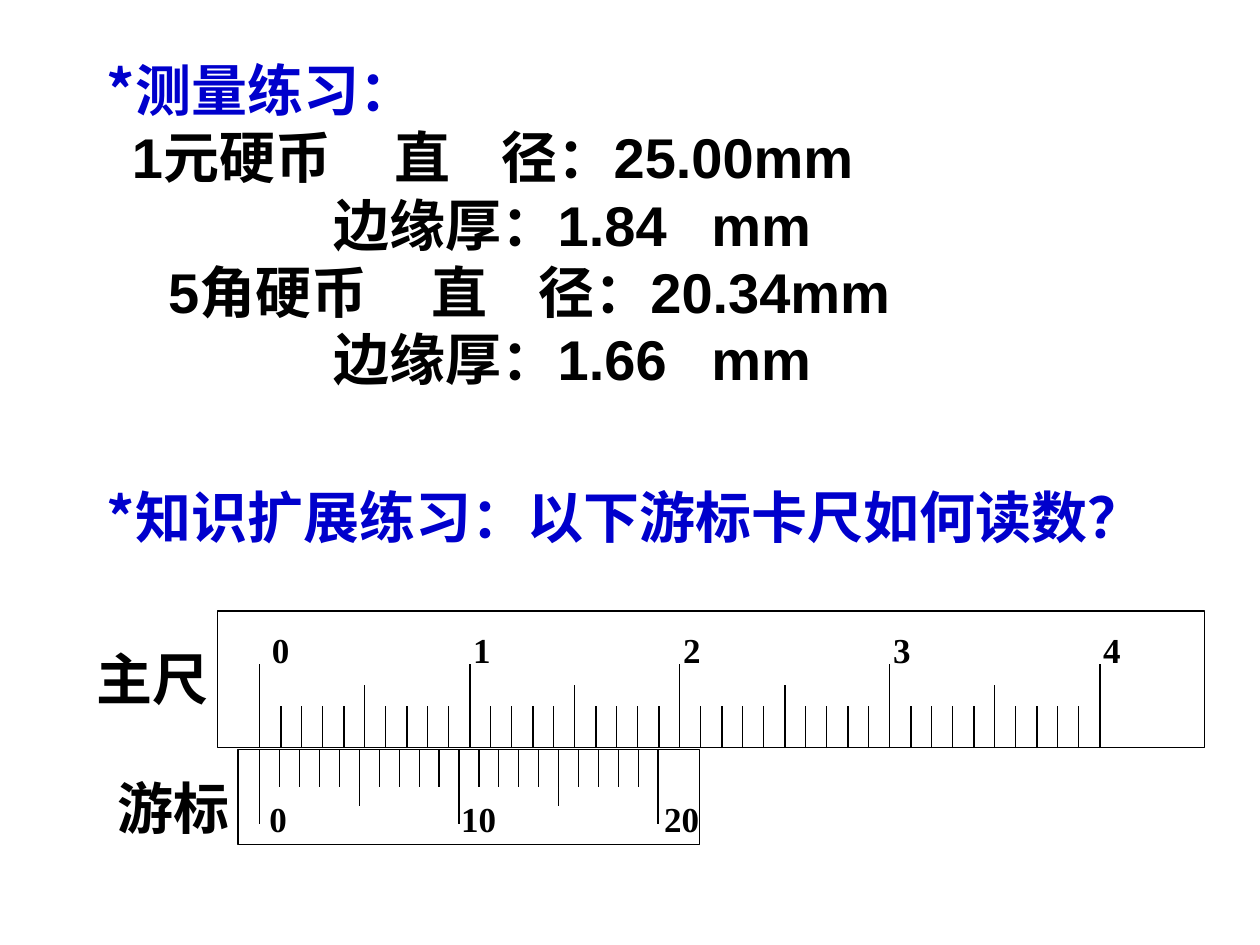
from lxml.etree import SubElement
from pptx import Presentation
from pptx.dml.color import RGBColor
from pptx.enum.shapes import MSO_CONNECTOR, MSO_SHAPE
from pptx.oxml.ns import qn
from pptx.util import Pt

COLORS = {"heading": "0000CC", "ink": "000000"}
CJK = "Noto Sans CJK SC"
FORMATS = {
    "heading": {"name": CJK, "size": Pt(32), "bold": True},
    "body": {"name": "Arial", "size": Pt(32), "bold": True},
    "label": {"name": "Times New Roman", "size": Pt(32), "bold": True},
    "number": {"name": "Times New Roman", "size": Pt(20), "bold": True},
}


class Builder:
    def __init__(self, slide):
        self.slide = slide
        self.line_width = Pt(0.75)

    def color(self, name):
        return RGBColor.from_string(COLORS[name])

    def text(self, left, top, width, height, lines):
        """Each line is (style, text, tab stops in points)."""
        sp = self.slide.shapes.add_textbox(Pt(left), Pt(top), Pt(width), Pt(height))
        tf = sp.text_frame
        tf.word_wrap = True
        # CJK glyphs sit higher in a fixed line, so they get a deeper top inset
        tf.margin_top = Pt(3.6 if lines[0][0] == "number" else 5.8)
        for i, (style, text, tabs) in enumerate(lines):
            p = tf.paragraphs[0] if i == 0 else tf.add_paragraph()
            p.line_spacing = Pt(FORMATS[style]["size"].pt * 1.2)
            if tabs:
                tab_list = SubElement(p._p.get_or_add_pPr(), qn("a:tabLst"))
                for pos in tabs:
                    SubElement(tab_list, qn("a:tab"), pos=str(int(Pt(pos))), algn="l")
            r = p.add_run()
            r.text = text
            for key, value in FORMATS[style].items():
                setattr(r.font, key, value)
            r.font.color.rgb = self.color("heading" if style == "heading" else "ink")
            SubElement(r._r.get_or_add_rPr(), qn("a:ea"), typeface=CJK)

    def frame(self, left, top, width, height):
        sp = self.slide.shapes.add_shape(
            MSO_SHAPE.RECTANGLE, Pt(left), Pt(top), Pt(width), Pt(height))
        sp.shadow.inherit = False
        sp.fill.background()
        sp.line.color.rgb = self.color("ink")
        sp.line.width = self.line_width

    def tick(self, x, y, length):
        line = self.slide.shapes.add_connector(
            MSO_CONNECTOR.STRAIGHT, Pt(x), Pt(y), Pt(x), Pt(y + length))
        line.line.color.rgb = self.color("ink")
        line.line.width = self.line_width
        SubElement(line._element.spPr, qn("a:effectLst"))

    def scale(self, x, y, step, count, lengths):
        """Ticks from y; lengths are for every tenth, every fifth and other ticks."""
        tenth, fifth, other = lengths
        for i in range(count + 1):
            length = tenth if i % 10 == 0 else fifth if i % 5 == 0 else other
            self.tick(x + i * step, y, length)


def main():
    prs = Presentation()
    prs.slide_width, prs.slide_height = Pt(720), Pt(540)
    b = Builder(prs.slides.add_slide(prs.slide_layouts[6]))

    b.text(54, 26, 601, 199.5, [
        ("heading", "*测量练习：", []),
        ("body", "\t1元硬币\t直\t径：25.00mm", [14.3, 164.5, 225.5]),
        ("body", "\t边缘厚：1.84\tmm", [129.5, 345.5]),
        ("body", "\t5角硬币\t直\t径：20.34mm", [35, 185.5, 246.5]),
        ("body", "\t边缘厚：1.66\tmm", [129.5, 345.5]),
    ])

    zero_x = 148.5
    b.frame(124.5, 349.2, 563.8, 77.8)
    b.scale(zero_x, 427.5, 12, 40, (-48, -36, -24))
    b.text(48.3, 362.2, 87.8, 46, [("label", "主尺", [])])
    b.text(59.8, 436.3, 109.4, 46, [("label", "游标", [])])
    b.frame(136.1, 428.4, 263.5, 54)
    b.scale(zero_x, 428, 11.38, 20, (43, 32.5, 21.5))

    b.text(146.9, 452.2, 270, 31.7, [("number", "0\t10\t20", [109.5, 225.5])])
    b.text(148.3, 355.7, 504, 31.7,
           [("number", "0\t1\t2\t3\t4", [115 + 120 * i for i in range(4)])])
    b.text(54, 270, 655, 46, [("heading", "*知识扩展练习：以下游标卡尺如何读数？", [])])

    prs.save("out.pptx")


if __name__ == "__main__":
    main()
